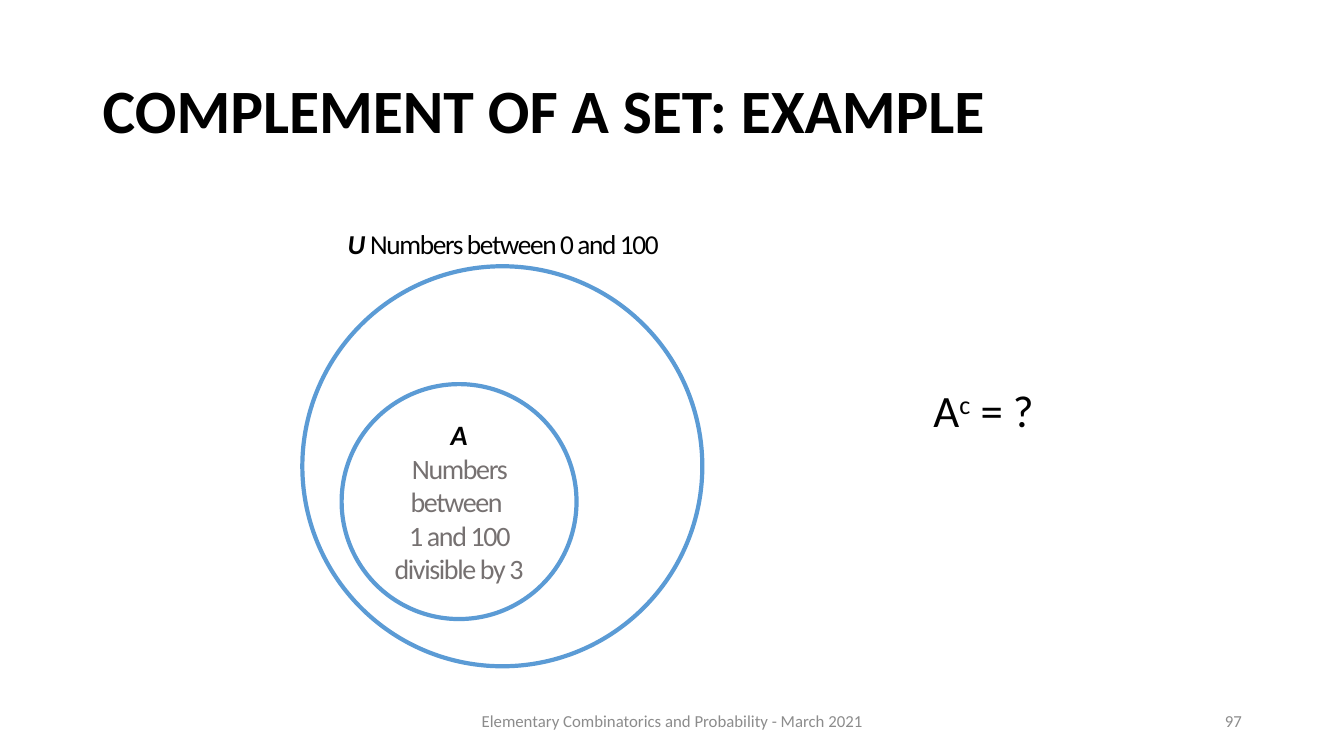
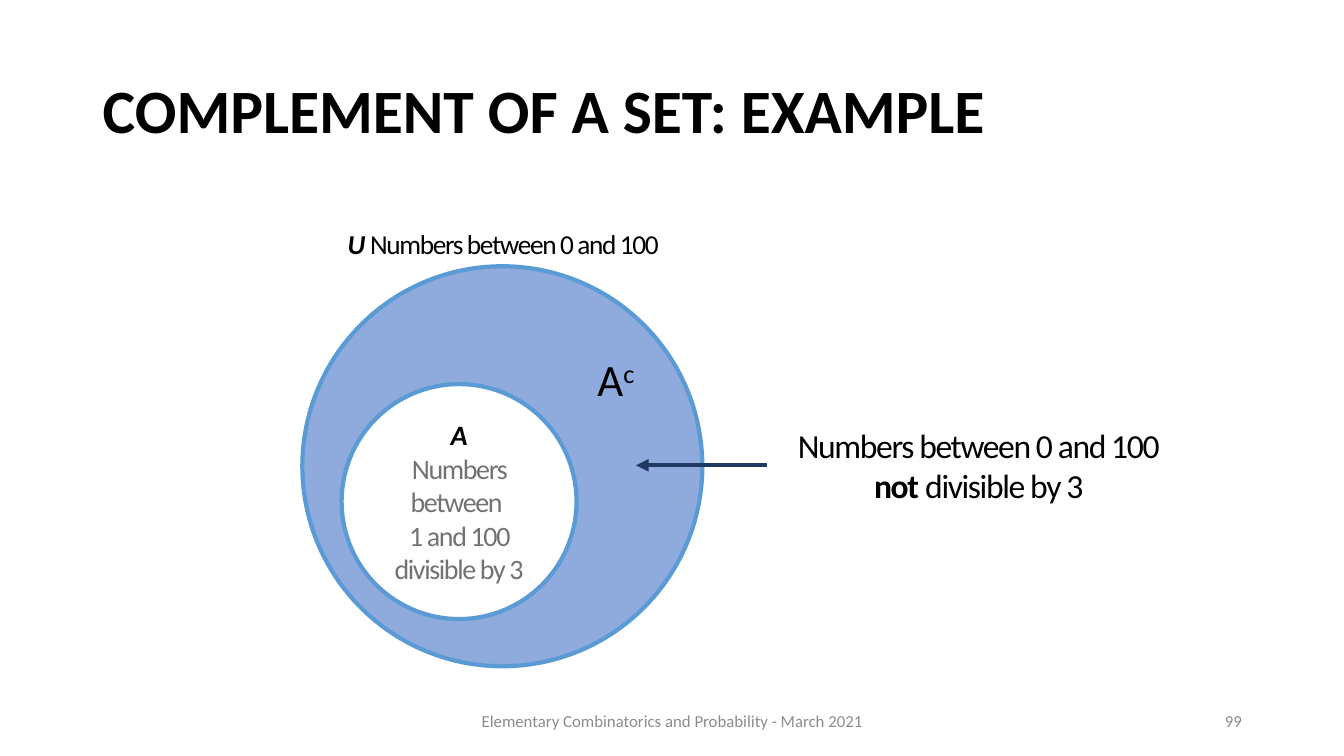
from lxml import etree
from pptx import Presentation
from pptx.dml.color import RGBColor
from pptx.enum.dml import MSO_PATTERN
from pptx.enum.shapes import MSO_CONNECTOR, MSO_SHAPE
from pptx.enum.text import MSO_ANCHOR, PP_ALIGN
from pptx.oxml.ns import qn
from pptx.util import Cm, Pt

LEFT, CENTER, RIGHT = PP_ALIGN.LEFT, PP_ALIGN.CENTER, PP_ALIGN.RIGHT
TOP, MIDDLE = MSO_ANCHOR.TOP, MSO_ANCHOR.MIDDLE
ELLIPSE = MSO_SHAPE.OVAL
STRAIGHT = MSO_CONNECTOR.STRAIGHT
DARK_HORIZONTAL = MSO_PATTERN.DARK_HORIZONTAL
LEFT_SITE = 1

FONT = "Calibri"
BLACK, WHITE, GREY, FOOTER_GREY = "000000", "FFFFFF", "767171", "8C8C8C"
OUTLINE, COMPLEMENT, ARROW = "5B9BD5", "8FAADC", "203864"
LINE_WIDTH = 3

TITLE = "COMPLEMENT OF A SET: EXAMPLE"
FOOTER = "Elementary Combinatorics and Probability - March 2021"

TITLE_BOX = (2.34, 1.02, 29.21, 3.68)
FOOTER_BOX = (11.23, 17.65, 11.43, 1.02)
NUMBER_BOX = (23.93, 17.65, 7.62, 1.02)
DIAGRAM_BOX = (7.62, 6.71, 10.08, 10.08)
QUESTION_BOX = (21.41, 9.53, 6.76, 1.63)
COMPLEMENT_BOX = (12.14, 8.74, 6.76, 1.63)
NOTE_BOX = (19.33, 10.57, 10.67, 2.31)

TITLE_FORMAT = {"size": 44, "bold": True}
FOOTER_FORMAT = {"size": 12, "color": FOOTER_GREY}
LABEL_FORMAT = {"size": 19.5, "spacing": -1}
SET_FORMAT = {"size": 20, "spacing": -1}
NOTE_FORMAT = {"size": 24, "spacing": -1}
SYMBOL_FORMAT = {"size": 32}
NAME_FORMAT = {"bold": True, "italic": True}
SUPERSCRIPT = {"baseline": 30}


def color(hex_value):
    return RGBColor.from_string(hex_value)


def lengths(box):
    return [Cm(value) for value in box]


def add_run(paragraph, text, values):
    values = {"name": FONT, "color": BLACK, "bold": False, **values}
    for index, line in enumerate(text.split("\n")):
        if index:
            paragraph.add_line_break()
        if not line:
            continue
        run = paragraph.add_run()
        run.text = line
        properties = run._r.get_or_add_rPr()
        for key, value in values.items():
            if key == "color":
                run.font.color.rgb = color(value)
            elif key == "spacing":
                properties.set("spc", str(value * 100))
            elif key == "baseline":
                properties.set("baseline", str(value * 1000))
            else:
                setattr(run.font, key, Pt(value) if key == "size" else value)


def write(shape, paragraphs, base, alignment=CENTER, anchor=TOP, line_spacing=None):
    frame = shape.text_frame
    frame.word_wrap = True
    frame.vertical_anchor = anchor
    for index, runs in enumerate(paragraphs):
        paragraph = frame.add_paragraph() if index else frame.paragraphs[0]
        paragraph.alignment = alignment
        paragraph.line_spacing = line_spacing
        for text, values in runs:
            add_run(paragraph, text, {**base, **values})


def add_text(slide, box, runs, base, **layout):
    shape = slide.shapes.add_textbox(*lengths(box))
    write(shape, [runs], base, **layout)
    return shape


def add_circle(slide, left, top, diameter):
    shape = slide.shapes.add_shape(ELLIPSE, *lengths((left, top, diameter, diameter)))
    shape.shadow.inherit = False
    shape.fill.background()
    shape.line.color.rgb = color(OUTLINE)
    shape.line.width = Pt(LINE_WIDTH)
    return shape


def add_frame(presentation, number):
    slide = presentation.slides.add_slide(presentation.slide_layouts[6])
    add_text(slide, TITLE_BOX, [(TITLE, {})], TITLE_FORMAT,
             alignment=LEFT, anchor=MIDDLE, line_spacing=0.9)
    add_text(slide, FOOTER_BOX, [(FOOTER, {})], FOOTER_FORMAT, anchor=MIDDLE)
    add_text(slide, NUMBER_BOX, [(str(number), {})], FOOTER_FORMAT,
             alignment=RIGHT, anchor=MIDDLE)
    return slide


def add_diagram(slide, box, shaded):
    left, top, width, _ = box
    universe = add_circle(slide, left, top, width)
    if shaded:
        universe.fill.patterned()
        universe.fill.pattern = DARK_HORIZONTAL
        universe.fill.fore_color.rgb = color(COMPLEMENT)
        universe.fill.back_color.rgb = color(WHITE)
    add_text(slide, (left + 0.74, top - 1.12, 8.64, 1.09),
             [("U", NAME_FORMAT), (" Numbers between 0 and 100", {})], LABEL_FORMAT)
    subset = add_circle(slide, left + 0.99, top + 2.97, 5.92)
    subset.fill.solid()
    subset.fill.fore_color.rgb = color(WHITE)
    description = "Numbers between \n1 and 100 divisible by 3"
    write(subset, [[("A", NAME_FORMAT)], [(description, {"color": GREY})]],
          SET_FORMAT, anchor=MIDDLE)


def add_symbol(slide, box, ending=""):
    add_text(slide, box, [("A", {}), ("c", SUPERSCRIPT), (ending, {})], SYMBOL_FORMAT)


def add_note(slide, box):
    left, top, _, height = box
    middle = top + height / 2
    note = add_text(slide, box, [("Numbers between 0 and 100\n", {}),
                                 ("not", {"bold": True}),
                                 (" divisible by 3", {})], NOTE_FORMAT)
    arrow = slide.shapes.add_connector(
        STRAIGHT, *lengths((left, middle, left - 3.3, middle)))
    arrow.begin_connect(note, LEFT_SITE)
    arrow.line.color.rgb = color(ARROW)
    arrow.line.width = Pt(LINE_WIDTH)
    etree.SubElement(arrow.line._get_or_add_ln(), qn("a:tailEnd"), type="triangle")
    etree.SubElement(arrow._element.spPr, qn("a:effectLst"))


def add_question_slide(presentation):
    slide = add_frame(presentation, 97)
    add_diagram(slide, DIAGRAM_BOX, shaded=False)
    add_symbol(slide, QUESTION_BOX, " = ?")


def add_answer_slide(presentation):
    slide = add_frame(presentation, 99)
    add_diagram(slide, DIAGRAM_BOX, shaded=True)
    add_note(slide, NOTE_BOX)
    add_symbol(slide, COMPLEMENT_BOX)


def main():
    presentation = Presentation()
    presentation.slide_width, presentation.slide_height = lengths((33.87, 19.05))
    add_question_slide(presentation)
    add_answer_slide(presentation)
    presentation.save("out.pptx")


if __name__ == "__main__":
    main()
